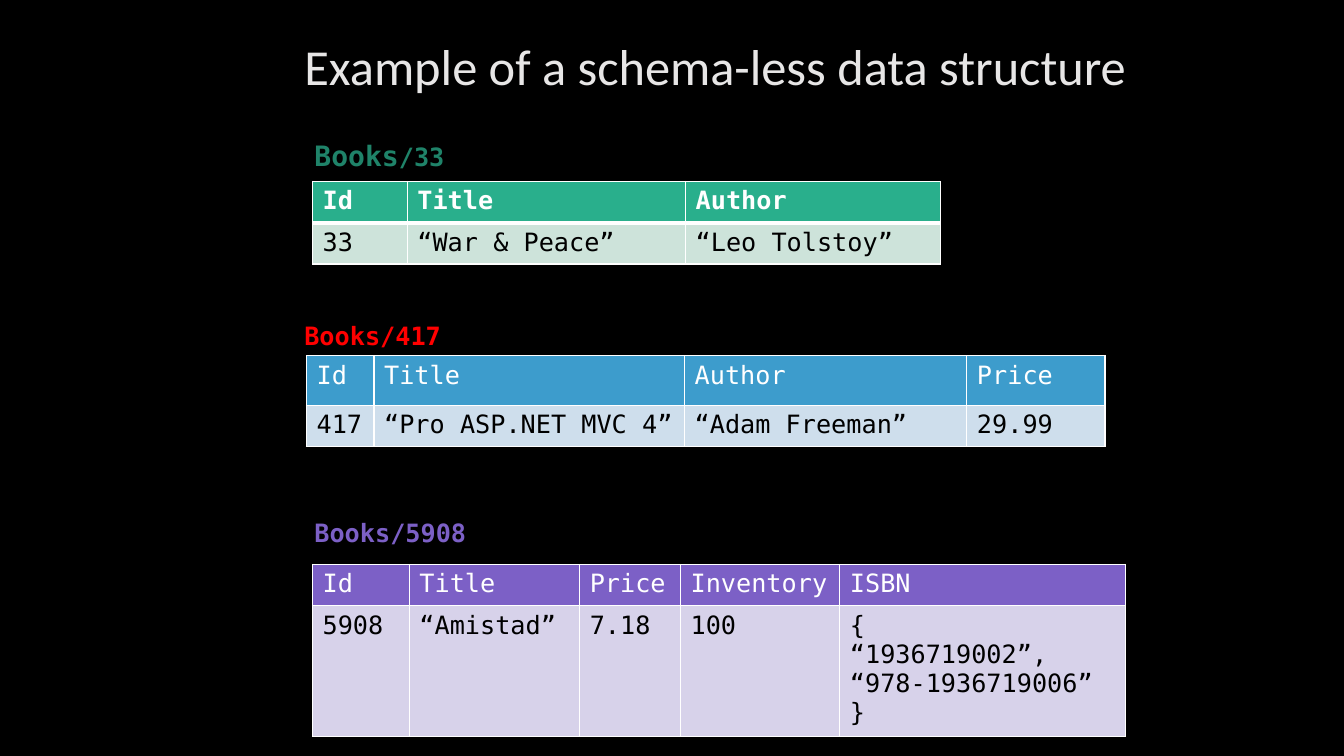
"""Build a slide of three book records that share no schema."""
from lxml import etree
from pptx import Presentation
from pptx.dml.color import RGBColor
from pptx.enum.text import MSO_ANCHOR, MSO_AUTO_SIZE
from pptx.oxml.ns import qn
from pptx.util import Inches, Pt

TOP = MSO_ANCHOR.TOP
GROW = MSO_AUTO_SIZE.SHAPE_TO_FIT_TEXT
FIXED = MSO_AUTO_SIZE.NONE
MONO = "DejaVu Sans Mono"
WHITE = RGBColor(0xFF, 0xFF, 0xFF)
BLACK = RGBColor(0, 0, 0)
PALE = RGBColor(0xE7, 0xE6, 0xE6)
RED = RGBColor(0xFF, 0, 0)
PINE = RGBColor(0x1F, 0x83, 0x69)
GREEN = RGBColor(0x29, 0xAF, 0x8C)
MINT = RGBColor(0xCD, 0xE3, 0xDA)
BLUE = RGBColor(0x3D, 0x9C, 0xCC)
SKY = RGBColor(0xCE, 0xDE, 0xEC)
PURPLE = RGBColor(0x7C, 0x60, 0xC6)
LILAC = RGBColor(0xD7, 0xD2, 0xEA)
UNIT = Inches(0.01)

deck = Presentation()
deck.slide_width, deck.slide_height = 1333 * UNIT, 750 * UNIT
slide = deck.slides.add_slide(deck.slide_layouts[6])
slide.background.fill.solid()
slide.background.fill.fore_color.rgb = BLACK


def style(font, color, **form):
    font.color.rgb = color
    for name, value in form.items():
        setattr(font, name, value)


def label(spot, runs, wrap, color, **form):
    box = slide.shapes.add_textbox(*[n * UNIT for n in spot])
    frame = box.text_frame
    frame.word_wrap = wrap
    frame.auto_size = FIXED if wrap else GROW
    for text, size in runs:
        run = frame.paragraphs[0].add_run()
        run.text = text
        style(run.font, color, size=Pt(size), **form)


label((292, 30, 858, 70), [("Example of a schema-less data structure", 36)],
      True, PALE, name="Calibri")

books = [
    dict(tag=(302, 133, 150, 44), runs=[("Books", 20), ("/33", 18)], ink=PINE,
         spot=(310, 180), cols=(94, 276, 253), rows=(41, 41),
         fills=(GREEN, MINT), bold=True, rule=3,
         data=[("Id", "Title", "Author"),
               ("33", "“War & Peace”", "“Leo Tolstoy”")]),
    dict(tag=(292, 313, 157, 40), runs=[("Books/417", 18)], ink=RED,
         spot=(304, 353), cols=(67, 308, 280, 137), rows=(49, 41),
         fills=(BLUE, SKY), bold=False, rule=1,
         data=[("Id", "Title", "Author", "Price"),
               ("417", "“Pro ASP.NET MVC 4”", "“Adam Freeman”", "29.99")]),
    dict(tag=(302, 508, 173, 40), runs=[("Books/5908", 18)], ink=PURPLE,
         spot=(310, 560), cols=(96, 169, 100, 158, 283), rows=(41, 130),
         fills=(PURPLE, LILAC), bold=False, rule=1,
         data=[("Id", "Title", "Price", "Inventory", "ISBN"),
               ("5908", "“Amistad”", "7.18", "100",
                "{\n“1936719002”,\v“978-1936719006”\n}")]),
]

for book in books:
    label(book["tag"], book["runs"], False, book["ink"], name=MONO, bold=True)
    cols, rows = book["cols"], book["rows"]
    area = (*book["spot"], sum(cols), sum(rows))
    grid = slide.shapes.add_table(
        len(rows), len(cols), *[n * UNIT for n in area]).table
    for col, width in zip(grid.columns, cols):
        col.width = width * UNIT
    for r, texts in enumerate(book["data"]):
        grid.rows[r].height = rows[r] * UNIT
        rules = {"L": 1, "R": 1, "T": 1 if r == 0 else book["rule"],
                 "B": book["rule"] if r == 0 else 1}
        for c, text in enumerate(texts):
            cell = grid.cell(r, c)
            cell.text = text
            cell.vertical_anchor = TOP
            for para in cell.text_frame.paragraphs:
                for run in para.runs:
                    style(run.font, BLACK if r else WHITE, name=MONO,
                          size=Pt(18), bold=book["bold"] and r == 0)
            props = cell._tc.get_or_add_tcPr()
            for side, width in rules.items():
                line = etree.SubElement(props, qn("a:ln" + side), w=str(Pt(width)))
                fill = etree.SubElement(line, qn("a:solidFill"))
                etree.SubElement(fill, qn("a:srgbClr"), val=str(WHITE))
            cell.fill.solid()
            cell.fill.fore_color.rgb = book["fills"][r]

deck.save("out.pptx")
